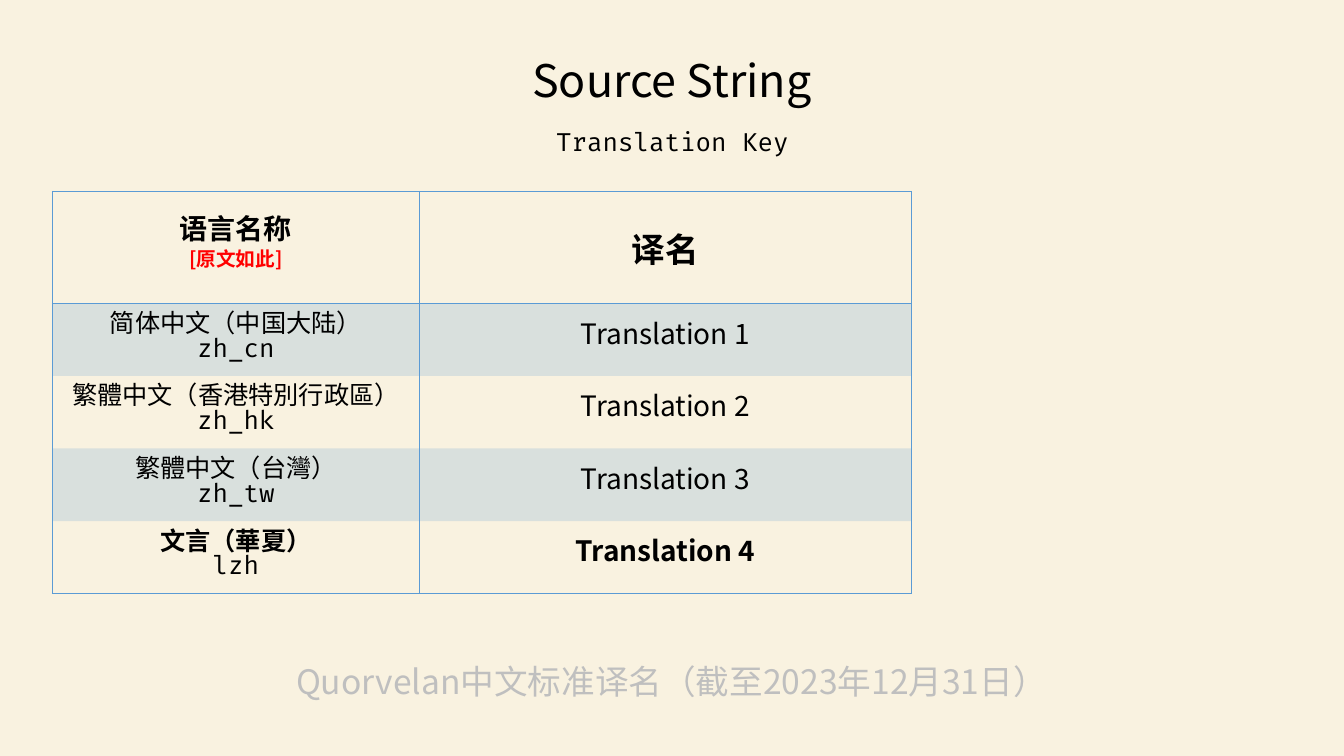
import pptx
import pptx.util
import pptx.dml.color
import pptx.enum.text
import pptx.oxml.ns
from lxml import etree

Inches, Pt = pptx.util.Inches, pptx.util.Pt
RGBColor = pptx.dml.color.RGBColor
qn = pptx.oxml.ns.qn

CREAM = RGBColor(0xF9, 0xF2, 0xE0)
BLACK = RGBColor(0, 0, 0)
RED = RGBColor(0xFF, 0, 0)
BLUE = RGBColor(0x5B, 0x9B, 0xD5)
GRAY = RGBColor(0xBF, 0xBF, 0xBF)
SANS, SANS_JP, MONO = "Noto Sans CJK SC", "Noto Sans CJK JP", "Fira Code"
NO_STYLE = "{2D5ABB26-0587-4C30-8999-92F81FD0307C}"

# language name, code, translation, font of the translation, bold
LANGUAGES = [
    ("简体中文（中国大陆）", "zh_cn", "Translation 1", SANS, False),
    ("繁體中文（香港特別行政區）", "zh_hk", "Translation 2", SANS, False),
    ("繁體中文（台灣）", "zh_tw", "Translation 3", SANS, False),
    ("文言（華夏）", "lzh", "Translation 4", SANS_JP, True),
]


def write_line(paragraph, text, size, face=SANS, color=BLACK, bold=False, spacing=None):
    paragraph.text = text
    paragraph.alignment = pptx.enum.text.PP_ALIGN.CENTER
    paragraph.line_spacing = spacing
    font = paragraph.font
    font.name, font.size, font.bold = face, Pt(size), bold
    font.color.rgb = color
    # East Asian typeface for the Chinese characters
    latin = font._element.find(qn("a:latin"))
    east_asian = etree.Element(qn("a:ea"), typeface=face)
    latin.addnext(east_asian)


def add_caption(slide, box, text, size, face=SANS, color=BLACK, wrap=False):
    frame = slide.shapes.add_textbox(*map(Inches, box)).text_frame
    frame.word_wrap = wrap
    write_line(frame.paragraphs[0], text, size, face, color)


def style_cell(cell, sides, shaded=False):
    cell.vertical_anchor = pptx.enum.text.MSO_ANCHOR.MIDDLE
    properties = cell._tc.get_or_add_tcPr()
    for side in sides:
        line = etree.SubElement(properties, qn(f"a:ln{side}"), w=str(Pt(1)))
        paint = etree.SubElement(line, qn("a:solidFill"))
        etree.SubElement(paint, qn("a:srgbClr"), val=str(BLUE))
    if shaded:
        cell.fill.solid()
        cell.fill.fore_color.rgb = BLUE
        tint = properties.find(qn("a:solidFill")).find(qn("a:srgbClr"))
        etree.SubElement(tint, qn("a:alpha"), val="20000")
    else:
        cell.fill.background()


def fill_cell(cell, *lines):
    frame = cell.text_frame
    for index, line in enumerate(lines):
        paragraph = frame.add_paragraph() if index else frame.paragraphs[0]
        write_line(paragraph, **line)


def add_translations(slide, left, top, width, height):
    frame = slide.shapes.add_table(len(LANGUAGES) + 1, 2, *map(Inches, (left, top, width, height)))
    table = frame.table
    table.first_row = table.horz_banding = False
    table._tbl.tblPr.find(qn("a:tableStyleId")).text = NO_STYLE

    name_width, header_height = 3.64, 1.11
    table.columns[0].width = Inches(name_width)
    table.columns[1].width = Inches(width - name_width)
    table.rows[0].height = Inches(header_height)

    # Header
    for cell in table.rows[0].cells:
        style_cell(cell, "LRTB")
    fill_cell(table.cell(0, 0),
              dict(text="语言名称", size=20, bold=True, spacing=Pt(18)),
              dict(text="[原文如此]", size=14, color=RED, bold=True, spacing=Pt(18)))
    fill_cell(table.cell(0, 1), dict(text="译名", size=24, bold=True))

    # One row per language, every other one shaded
    for row, (name, code, translation, face, bold) in enumerate(LANGUAGES, 1):
        table.rows[row].height = Inches((height - header_height) / len(LANGUAGES))
        for cell in table.rows[row].cells:
            style_cell(cell, "LRB" if row == len(LANGUAGES) else "LR", row % 2 == 1)
            cell.margin_left = cell.margin_right = Inches(0.01)
            cell.margin_top = cell.margin_bottom = 0
        fill_cell(table.cell(row, 0),
                  dict(text=name, size=18, bold=bold, spacing=Pt(18)),
                  dict(text=code, size=18, face=MONO, spacing=Pt(18)))
        fill_cell(table.cell(row, 1),
                  dict(text=translation, size=20, face=face, bold=bold, spacing=Pt(18)))


def main():
    deck = pptx.Presentation()
    deck.slide_width, deck.slide_height = Inches(13.33), Inches(7.5)
    slide = deck.slides.add_slide(deck.slide_layouts[6])
    slide.background.fill.solid()
    slide.background.fill.fore_color.rgb = CREAM

    # Footer, table, then the headings
    add_caption(slide, (2.73, 6.51, 7.86, 0.5), "Quorvelan中文标准译名（截至2023年12月31日）",
                24, color=GRAY, wrap=True)
    add_translations(slide, 0.52, 1.9, 8.52, 3.99)
    add_caption(slide, (5.05, 0.47, 3.23, 0.64), "Source String", 32)
    add_caption(slide, (5.4, 1.2, 2.54, 0.4), "Translation Key", 18, MONO)
    deck.save("out.pptx")


if __name__ == "__main__":
    main()
